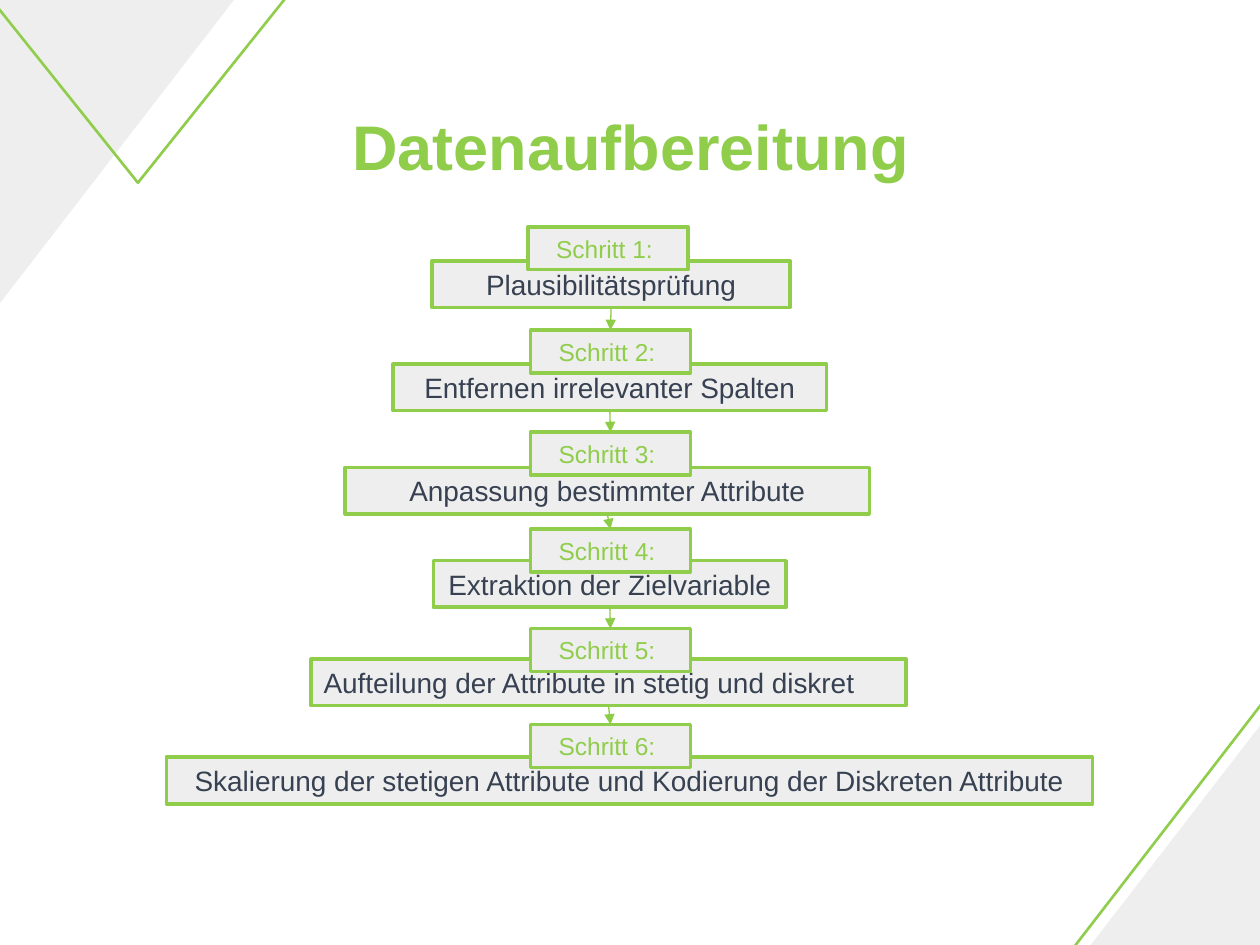
from lxml import etree
from pptx import Presentation
from pptx.dml.color import RGBColor
from pptx.enum.shapes import MSO_CONNECTOR, MSO_SHAPE
from pptx.enum.text import MSO_ANCHOR, MSO_AUTO_SIZE, PP_ALIGN
from pptx.oxml.ns import qn
from pptx.util import Pt

PX = 9144  # EMU, 100 px to the inch
FONT = "Arial"
COLORS = {"green": "8FCD4B", "arrow": "8CCC46", "grey": "EEEEEE", "text": "374151"}
RECT, RIGHT_TRIANGLE = MSO_SHAPE.RECTANGLE, MSO_SHAPE.RIGHT_TRIANGLE
TRIANGLE = MSO_SHAPE.ISOSCELES_TRIANGLE
CENTER, LEFT = PP_ALIGN.CENTER, PP_ALIGN.LEFT
MIDDLE = MSO_ANCHOR.MIDDLE
FIT_SHAPE = MSO_AUTO_SIZE.SHAPE_TO_FIT_TEXT
STRAIGHT = MSO_CONNECTOR.STRAIGHT

LABEL_W, LABEL_H, TASK_H = 127, 34, 37
# task, label (left, top), task box (left, top, width), alignment
STEPS = [
    ("Plausibilitätsprüfung", (419, 180), (343, 207, 284), CENTER),
    ("Entfernen irrelevanter Spalten", (421, 262), (312, 289, 344), CENTER),
    ("Anpassung bestimmter Attribute", (421, 343), (274, 371, 416), CENTER),
    ("Extraktion der Zielvariable", (421, 420), (344, 445, 280), CENTER),
    ("Aufteilung der Attribute in stetig und diskret", (421, 499), (247, 523, 472), LEFT),
    ("Skalierung der stetigen Attribute und Kodierung der Diskreten Attribute",
     (421, 575), (132, 601, 735), CENTER),
]


def rgb(name):
    return RGBColor.from_string(COLORS[name])


def emu(*lengths):
    return [round(length * PX) for length in lengths]


def add_shape(slide, kind, box, fill=None, line_width=None):
    shape = slide.shapes.add_shape(kind, *emu(*box))
    shape.shadow.inherit = False
    if fill:
        shape.fill.solid()
        shape.fill.fore_color.rgb = rgb(fill)
    else:
        shape.fill.background()
    if line_width:
        shape.line.color.rgb = rgb("green")
        shape.line.width = Pt(line_width)
    else:
        shape.line.fill.background()
    return shape


def write(frame, text, size, color, align=CENTER, bold=False):
    frame.word_wrap = True
    frame.vertical_anchor = MIDDLE
    paragraph = frame.paragraphs[0]
    paragraph.alignment = align
    run = paragraph.add_run()
    run.text = text
    run.font.name = FONT
    run.font.size = Pt(size)
    run.font.bold = bold
    run.font.color.rgb = rgb(color)


def add_corners(slide):
    """Flipped triangles that run out over two corners of the slide."""
    corners = [
        (RIGHT_TRIANGLE, (768, 379, 372, 482), 0, None, 1.5),
        (RIGHT_TRIANGLE, (780, 379, 372, 482), 0, "grey", None),
        (RIGHT_TRIANGLE, (-83, -134, 372, 482), 180, "grey", None),
        (TRIANGLE, (-184, -222, 587, 367), 180, None, 1.5),
    ]
    for kind, box, rotation, fill, line_width in corners:
        corner = add_shape(slide, kind, box, fill, line_width)
        corner.rotation = rotation
        corner._element.spPr.find(qn("a:xfrm")).set("flipH", "1")


def add_title(slide, box, text):
    title = slide.shapes.title
    title.left, title.top, title.width, title.height = emu(*box)
    frame = title.text_frame
    frame.margin_left = frame.margin_right = emu(10)[0]
    frame.margin_top = frame.margin_bottom = emu(10)[0]
    write(frame, text, 36, "green", bold=True)


def add_text_box(slide, box, text, size, color, align=CENTER):
    shape = add_shape(slide, RECT, box, "grey", 2)
    write(shape.text_frame, text, size, color, align)
    shape.text_frame.auto_size = FIT_SHAPE


def add_step(slide, number, task, label_at, task_box, align):
    add_text_box(slide, (*task_box, TASK_H), task, 16, "text", align)
    add_text_box(slide, (*label_at, LABEL_W, LABEL_H), f"Schritt {number}: ", 14, "green")


def add_arrow(slide, task_box, next_label):
    """Arrow from the foot of a task to the top of the next label."""
    left, top, width = task_box
    start = (left + width / 2, top + TASK_H)
    end = (next_label[0] + LABEL_W / 2, next_label[1])
    arrow = slide.shapes.add_connector(STRAIGHT, *emu(*start, *end))
    arrow.line.color.rgb = rgb("arrow")
    arrow.line.width = Pt(0.75)
    etree.SubElement(arrow.line._get_or_add_ln(), qn("a:tailEnd"), type="triangle")
    etree.SubElement(arrow._element.spPr, qn("a:effectLst"))


def add_flow(slide, steps):
    for (_, _, task_box, _), (_, next_label, _, _) in zip(steps, steps[1:]):
        add_arrow(slide, task_box, next_label)
    for number, step in enumerate(steps, 1):
        add_step(slide, number, *step)


def main():
    presentation = Presentation()
    presentation.slide_width, presentation.slide_height = emu(1000, 750)
    slide = presentation.slides.add_slide(presentation.slide_layouts[5])
    add_corners(slide)
    add_title(slide, (98, 77, 805, 77), "Datenaufbereitung")
    add_flow(slide, STEPS)
    presentation.save("out.pptx")


if __name__ == "__main__":
    main()
